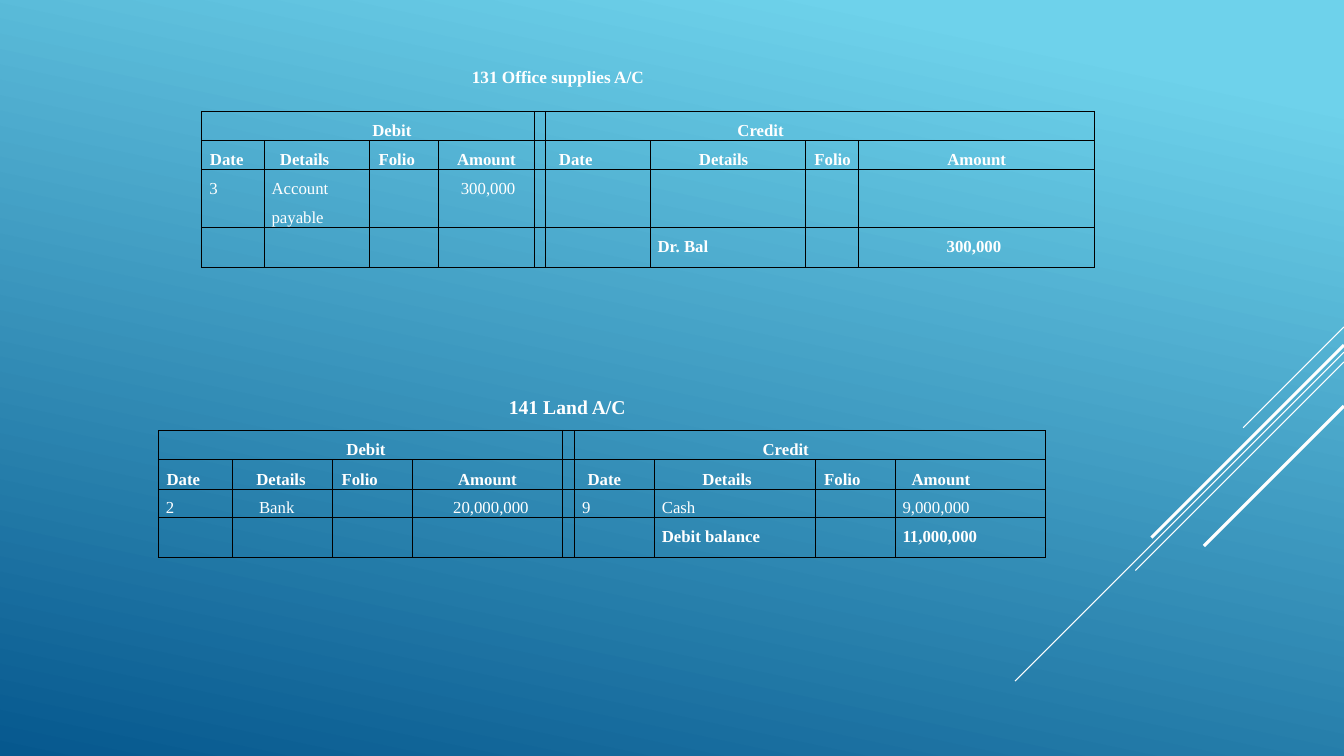
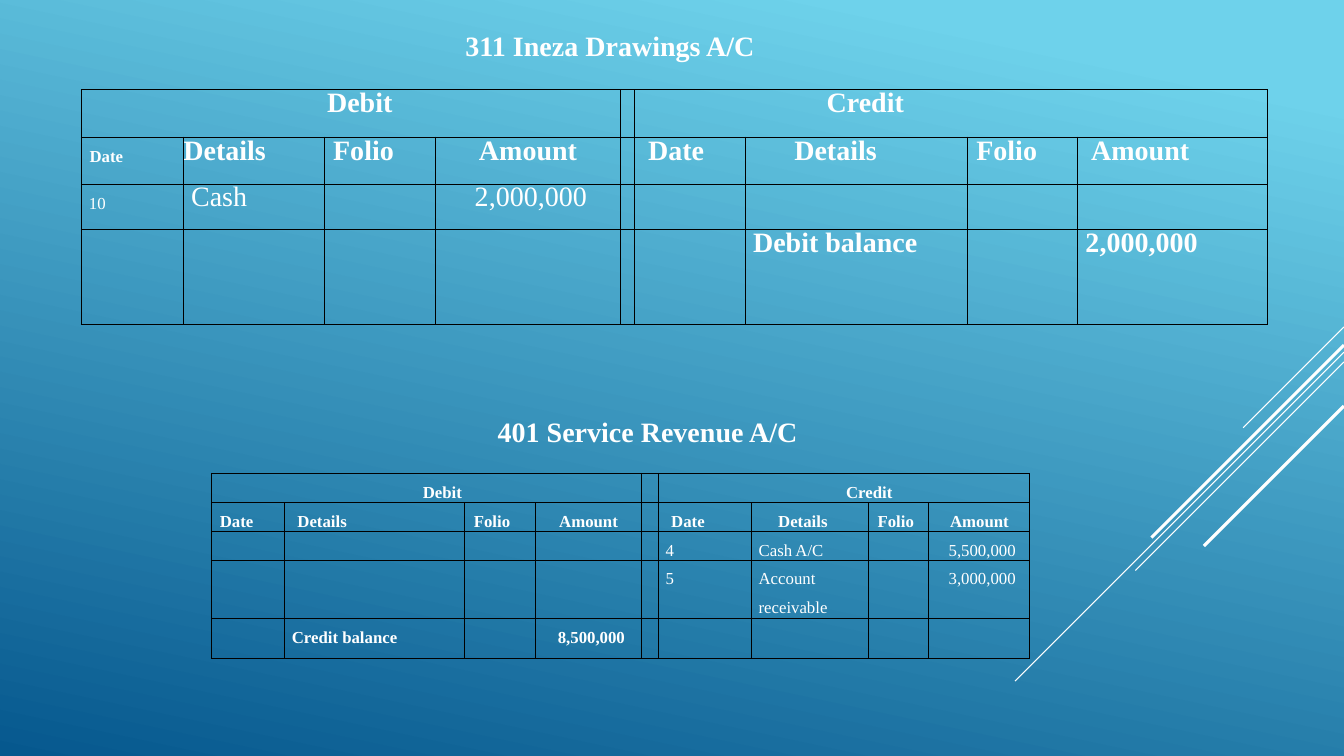
import dataclasses

import lxml.etree
import pptx
import pptx.dml.color
import pptx.enum.shapes
import pptx.enum.text
import pptx.oxml.ns
import pptx.util

Pt = pptx.util.Pt
Color = pptx.dml.color.RGBColor.from_string
qn = pptx.oxml.ns.qn
Align = pptx.enum.text.PP_ALIGN


@dataclasses.dataclass(frozen=True)
class Theme:
    width: float = 960
    height: float = 540
    font: str = "Times New Roman"
    ink: str = "FFFFFF"
    rule: str = "000000"
    sky: str = "6ED2EB"
    deep: str = "06588E"
    small: float = 12
    minor: float = 12.3
    medium: float = 14
    large: float = 20
    hair: float = 0.5
    thin: float = 0.75
    thick: float = 2.25
    tall: float = 20.8  # line pitch of heads and balances
    tight: float = 20.4  # line pitch of entries


THEME = Theme()
HEADS = ("Date", "Details", "Folio", "Amount")
SIDES = {"Debit": 0, "Credit": 5}


@dataclasses.dataclass(frozen=True)
class Spot:
    """How a cell's text is set: alignment and sideways shift."""
    align: Align
    shift: float = 0


def left(shift):
    return Spot(Align.LEFT, shift)


def mid(shift=0):
    return Spot(Align.CENTER, shift)


PAD = left(5.5)
DATE, FOLIO, DATE2 = left(6), left(6.5), left(9.5)


@dataclasses.dataclass(frozen=True)
class Ledger:
    """One account; body maps (row, column) to text and spot."""
    title: str
    place: tuple
    head: float
    at: tuple
    size: float
    cols: tuple
    rows: tuple
    sides: tuple
    heads: tuple
    body: dict


SUPPLIES = Ledger(
    "131 Office supplies A/C", (337, 47.5), THEME.minor,
    (144, 79.5), THEME.small,
    (44.5, 75.5, 49, 68.5, 8, 74.5, 111, 38, 168.5),
    (20.8, 20.8, 41.2, 28.8),
    (mid(34.5), left(137)),
    (DATE, left(11.5), FOLIO, mid(0.5), DATE2, left(35), FOLIO, mid(0.5)),
    {
        (2, 0): ("3", PAD),
        (2, 1): ("Account payable", PAD),
        (2, 3): ("300,000", mid(3)),
        (3, 6): ("Dr. Bal", PAD),
        (3, 8): ("300,000", mid(-3.5)),
    },
)

LAND = Ledger(
    "141 Land A/C", (363.5, 282), THEME.medium,
    (113, 307.5), THEME.small,
    (53, 71.5, 57, 107.5, 4.5, 57, 115, 57, 107.5),
    (20.8, 20.8, 20.4, 28.8),
    (mid(8), left(134.5)),
    (DATE, mid(-2), FOLIO, mid(), DATE2, left(34.5), FOLIO, left(12)),
    {
        (2, 0): ("2", PAD),
        (2, 1): ("Bank", mid(-8)),
        (2, 3): ("20,000,000", mid(5)),
        (2, 5): ("9", PAD),
        (2, 6): ("Cash", PAD),
        (2, 8): ("9,000,000", PAD),
        (3, 6): ("Debit balance", PAD),
        (3, 8): ("11,000,000", PAD),
    },
)

DRAWINGS = Ledger(
    "311 Ineza Drawings A/C", (332.5, 20), THEME.large,
    (58, 64), THEME.large,
    (73, 100.5, 79.5, 132, 10.5, 79, 158.5, 79, 135.5),
    (33.8, 33.8, 32.4, 67.7),
    (mid(13), left(137)),
    (DATE, left(0), FOLIO, mid(0.5), DATE2, left(35), FOLIO, left(9.5)),
    {
        (2, 0): ("10", PAD),
        (2, 1): ("Cash", PAD),
        (2, 3): ("2,000,000", mid(4.5)),
        (3, 6): ("Debit balance", PAD),
        (3, 8): ("2,000,000", PAD),
    },
)

REVENUE = Ledger(
    "401 Service Revenue A/C", (355.5, 296), THEME.large,
    (151, 338), THEME.small,
    (52, 129, 50.5, 75.5, 12, 66.5, 84, 43, 72),
    (20.8, 20.8, 20.4, 41.6, 28.8),
    (mid(23), left(134.5)),
    (DATE, left(9.5), FOLIO, mid(0.5), DATE2, left(19.5), FOLIO, mid(0.5)),
    {
        (2, 5): ("4", PAD),
        (2, 6): ("Cash A/C", PAD),
        (2, 8): ("5,500,000", mid(4.5)),
        (3, 5): ("5", PAD),
        (3, 6): ("Account receivable", PAD),
        (3, 8): ("3,000,000", mid(4.5)),
        (4, 1): ("Credit balance", PAD),
        (4, 3): ("8,500,000", mid(4.5)),
    },
)

PAGES = ((SUPPLIES, LAND), (DRAWINGS, REVENUE))

# Top, run and weight of the slanted lines that leave the right edge
RAYS = (
    (233.5, 72, THEME.thin),
    (251.5, 235, THEME.thin),
    (258.5, 149, THEME.thin),
    (246.5, 137.5, THEME.thick),
    (290, 100, THEME.thick),
)


def paint(master):
    fill = master.background.fill
    fill.gradient()
    fill.gradient_angle = 258
    shades = ((0.1, THEME.sky), (1, THEME.deep))
    for stop, (place, shade) in zip(fill.gradient_stops, shades):
        stop.position = place
        stop.color.rgb = Color(shade)


def add_rays(slide):
    edge = THEME.width
    kind = pptx.enum.shapes.MSO_CONNECTOR.STRAIGHT
    for top, run, weight in RAYS:
        ray = slide.shapes.add_connector(
            kind, Pt(edge), Pt(top), Pt(edge - run), Pt(top + run))
        ray.line.color.rgb = Color(THEME.ink)
        ray.line.width = Pt(weight)
        lxml.etree.SubElement(ray._element.spPr, qn("a:effectLst"))


def set_font(para, size, bold):
    font = para.font
    font.name = THEME.font
    font.size = Pt(size)
    font.bold = bold
    font.color.rgb = Color(THEME.ink)


def add_title(slide, book):
    x, y = book.place
    box = slide.shapes.add_textbox(Pt(x), Pt(y), Pt(330), Pt(book.head * 1.2))
    frame = box.text_frame
    frame.margin_left = frame.margin_right = 0
    frame.margin_top = frame.margin_bottom = 0
    frame.word_wrap = True
    frame.text = book.title
    set_font(frame.paragraphs[0], book.head, True)


def add_frame(cell):
    """Rule all four sides of a cell."""
    props = cell._tc.get_or_add_tcPr()
    for side in ("a:lnL", "a:lnR", "a:lnT", "a:lnB"):
        line = lxml.etree.SubElement(props, qn(side), w=str(Pt(THEME.hair)))
        fill = lxml.etree.SubElement(line, qn("a:solidFill"))
        lxml.etree.SubElement(fill, qn("a:srgbClr"), val=THEME.rule)


def fill_cell(cell, text, spot, size, bold, pitch):
    add_frame(cell)
    cell.fill.background()
    cell.margin_top = cell.margin_bottom = 0
    cell.margin_left = Pt(max(spot.shift, 0))
    cell.margin_right = Pt(max(-spot.shift, 0))
    cell.text = text
    para = cell.text_frame.paragraphs[0]
    para.alignment = spot.align
    para.line_spacing = Pt(pitch)
    set_font(para, size, bold)


def get_cells(book):
    """Join the two shared head rows to the account's own entries."""
    cells = dict(book.body)
    for (side, start), spot in zip(SIDES.items(), book.sides):
        cells[0, start] = (side, spot)
    spots = iter(book.heads)
    for start in SIDES.values():
        for col, name in enumerate(HEADS, start):
            cells[1, col] = (name, next(spots))
    return cells


def add_ledger(slide, book):
    x, y = book.at
    grid = slide.shapes.add_table(
        len(book.rows), len(book.cols), Pt(x), Pt(y),
        Pt(sum(book.cols)), Pt(sum(book.rows))).table
    grid.first_row = grid.horz_banding = False
    for col, width in zip(grid.columns, book.cols):
        col.width = Pt(width)
    for row, height in zip(grid.rows, book.rows):
        row.height = Pt(height)
    cells = get_cells(book)
    last = len(book.rows) - 1
    for row in range(len(book.rows)):
        entry = 1 < row < last
        pitch = THEME.tight if entry else THEME.tall
        for col in range(len(book.cols)):
            text, spot = cells.get((row, col), ("", PAD))
            size = THEME.small if row and not col else book.size
            fill_cell(grid.cell(row, col), text, spot, size, not entry, pitch)
    for start in SIDES.values():
        grid.cell(0, start).merge(grid.cell(0, start + len(HEADS) - 1))


def main():
    deck = pptx.Presentation()
    deck.slide_width = Pt(THEME.width)
    deck.slide_height = Pt(THEME.height)
    paint(deck.slide_master)
    for books in PAGES:
        slide = deck.slides.add_slide(deck.slide_layouts[6])
        add_rays(slide)
        for book in books:
            add_title(slide, book)
            add_ledger(slide, book)
    deck.save("out.pptx")


if __name__ == "__main__":
    main()
